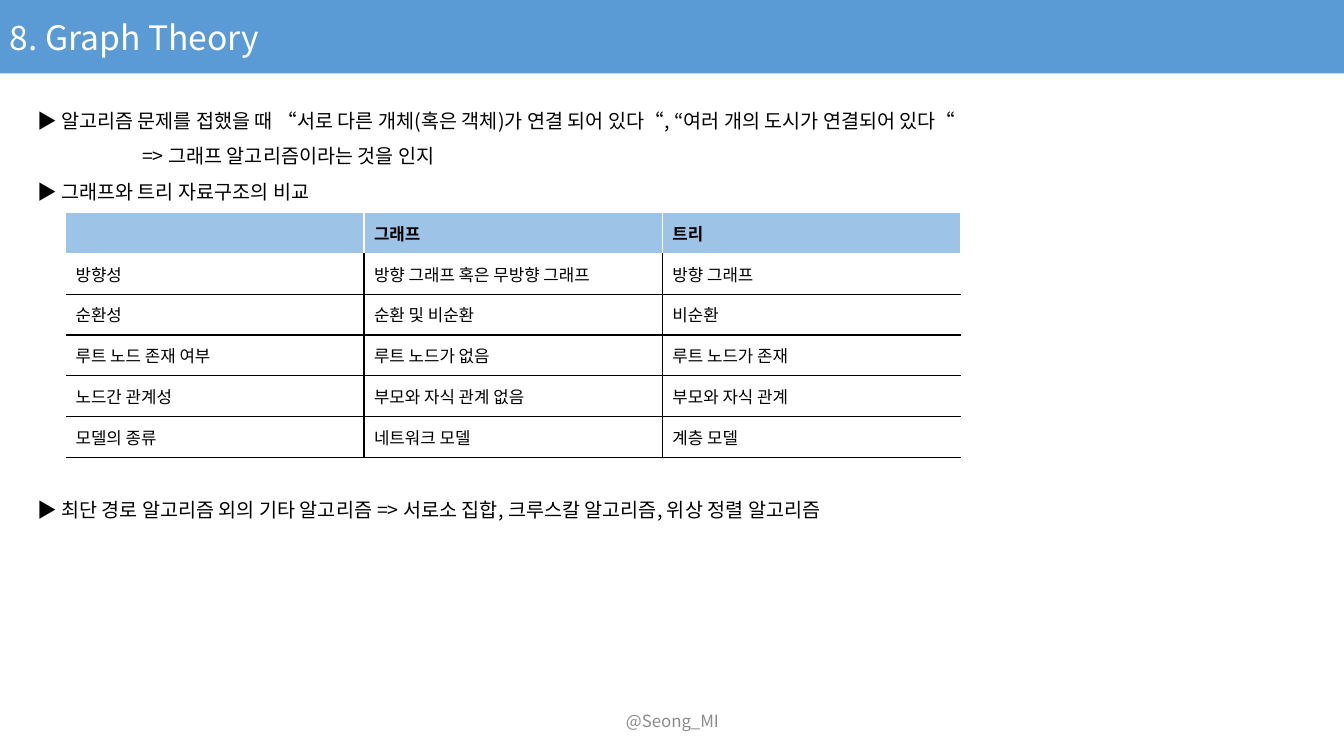
from lxml import etree
from pptx import Presentation
from pptx.dml.color import RGBColor
from pptx.enum.shapes import MSO_SHAPE
from pptx.enum.text import MSO_ANCHOR, PP_ALIGN
from pptx.oxml.ns import qn
from pptx.util import Inches, Pt

RECTANGLE = MSO_SHAPE.RECTANGLE
MIDDLE, TOP = MSO_ANCHOR.MIDDLE, MSO_ANCHOR.TOP
LEFT, CENTER = PP_ALIGN.LEFT, PP_ALIGN.CENTER

BLUE = RGBColor(0x5B, 0x9B, 0xD5)
LIGHT_BLUE = RGBColor(0x9D, 0xC3, 0xE6)
GREY = RGBColor(0x8C, 0x8C, 0x8C)
WHITE = RGBColor(0xFF, 0xFF, 0xFF)
BLACK = RGBColor(0, 0, 0)

FONT = "Noto Sans CJK KR"
LINE_PITCH = 25.3
TABLE_GAP = 8 * LINE_PITCH

# text, left indent in inches, space before in points
POINTS = [
    ("▶ 알고리즘 문제를 접했을 때 “서로 다른 개체(혹은 객체)가 연결 되어 있다“, “여러 개의 도시가 연결되어 있다“", 0, 0),
    ("=> 그래프 알고리즘이라는 것을 인지", 1.04, 0),
    ("▶ 그래프와 트리 자료구조의 비교", 0, 0),
    ("▶ 최단 경로 알고리즘 외의 기타 알고리즘 => 서로소 집합, 크루스칼 알고리즘, 위상 정렬 알고리즘", 0, TABLE_GAP),
]
COMPARISON = [
    ("", "그래프", "트리"),
    ("방향성", "방향 그래프 혹은 무방향 그래프", "방향 그래프"),
    ("순환성", "순환 및 비순환", "비순환"),
    ("루트 노드 존재 여부", "루트 노드가 없음", "루트 노드가 존재"),
    ("노드간 관계성", "부모와 자식 관계 없음", "부모와 자식 관계"),
    ("모델의 종류", "네트워크 모델", "계층 모델"),
]


class SlideBuilder:
    def __init__(self, slide):
        self.slide = slide

    def run(self, paragraph, text, size, color=BLACK, bold=False):
        run = paragraph.add_run()
        run.text = text
        run.font.size = Pt(size)
        run.font.bold = bold
        run.font.name = FONT
        run.font.color.rgb = color
        east_asian = etree.SubElement(run._r.get_or_add_rPr(), qn("a:ea"))
        east_asian.set("typeface", FONT)

    def banner(self, text, left, top, width, height):
        bar = self.slide.shapes.add_shape(
            RECTANGLE, Inches(left), Inches(top), Inches(width), Inches(height))
        bar.shadow.inherit = False
        bar.fill.solid()
        bar.fill.fore_color.rgb = BLUE
        bar.line.fill.background()
        bar.text_frame.vertical_anchor = MIDDLE
        title = bar.text_frame.paragraphs[0]
        title.alignment = LEFT
        self.run(title, text, 24, WHITE)

    def text_frame(self, left, top, width, height, anchor):
        box = self.slide.shapes.add_textbox(
            Inches(left), Inches(top), Inches(width), Inches(height))
        box.text_frame.word_wrap = True
        box.text_frame.vertical_anchor = anchor
        return box.text_frame

    def points(self, points, left, top, width, height):
        frame = self.text_frame(left, top, width, height, TOP)
        for index, (text, indent, space_before) in enumerate(points):
            point = frame.add_paragraph() if index else frame.paragraphs[0]
            point.line_spacing = Pt(LINE_PITCH)
            point.space_before = Pt(space_before)
            point._p.get_or_add_pPr().set("marL", str(Inches(indent)))
            self.run(point, text, 14)

    def footer(self, text, left, top, width, height):
        credit = self.text_frame(left, top, width, height, MIDDLE).paragraphs[0]
        credit.alignment = CENTER
        self.run(credit, text, 12, GREY)

    def borders(self, cell, colors):
        """Draw 1 pt edges from a side-to-colour dict; other sides stay bare."""
        properties = cell._tc.get_or_add_tcPr()
        for position, side in enumerate("LRTB"):
            edge = etree.Element(qn(f"a:ln{side}"), w=str(Pt(1)))
            if side in colors:
                fill = etree.SubElement(edge, qn("a:solidFill"))
                etree.SubElement(fill, qn("a:srgbClr"), val=str(colors[side]))
            else:
                etree.SubElement(edge, qn("a:noFill"))
            properties.insert(position, edge)

    def table(self, rows, left, top, width, row_height):
        columns = len(rows[0])
        table = self.slide.shapes.add_table(
            len(rows), columns, Inches(left), Inches(top),
            Inches(width), Inches(row_height * len(rows))).table
        for r, row in enumerate(rows):
            header = r == 0
            for c, text in enumerate(row):
                cell = table.cell(r, c)
                cell.vertical_anchor = MIDDLE
                cell.fill.solid()
                cell.fill.fore_color.rgb = LIGHT_BLUE if header else WHITE
                paragraph = cell.text_frame.paragraphs[0]
                if text:
                    self.run(paragraph, text, 12, bold=header)
                else:
                    etree.SubElement(paragraph._p, qn("a:endParaRPr"), sz="1200")
                if header:
                    sides = dict.fromkeys("LRT", WHITE)
                else:
                    inner = ("L" if c else "") + ("R" if c < columns - 1 else "")
                    upper = "T" if r > 1 else ""
                    sides = dict.fromkeys(inner + upper + "B", BLACK)
                self.borders(cell, sides)


def main():
    presentation = Presentation()
    presentation.slide_width = Inches(13.33)
    presentation.slide_height = Inches(7.5)
    blank = presentation.slide_layouts[6]
    builder = SlideBuilder(presentation.slides.add_slide(blank))
    builder.banner("8. Graph Theory", 0, 0, 13.33, 0.73)
    builder.points(POINTS, 0.27, 0.91, 9.99, 4.34)
    builder.table(COMPARISON, 0.65, 2.11, 8.88, 0.405)
    builder.footer("@Seong_MI", 4.42, 6.95, 4.5, 0.4)
    presentation.save("out.pptx")


if __name__ == "__main__":
    main()
